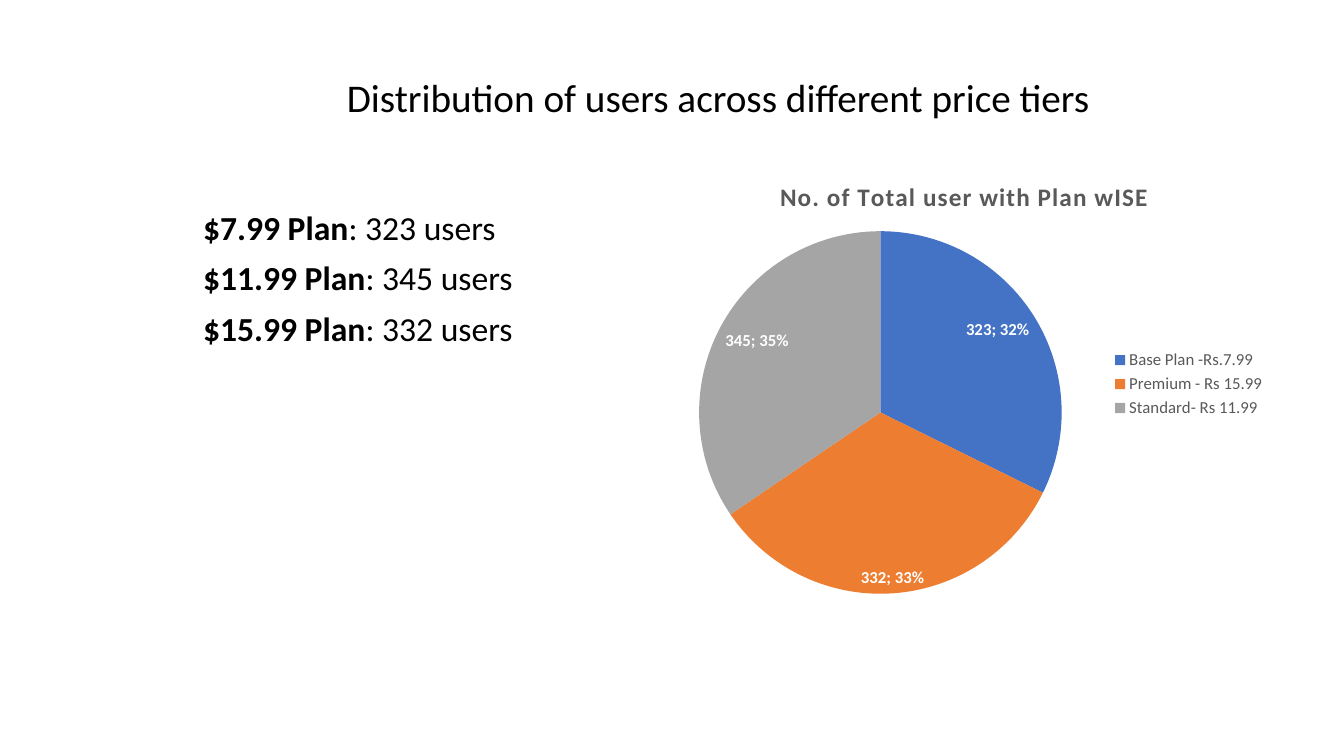
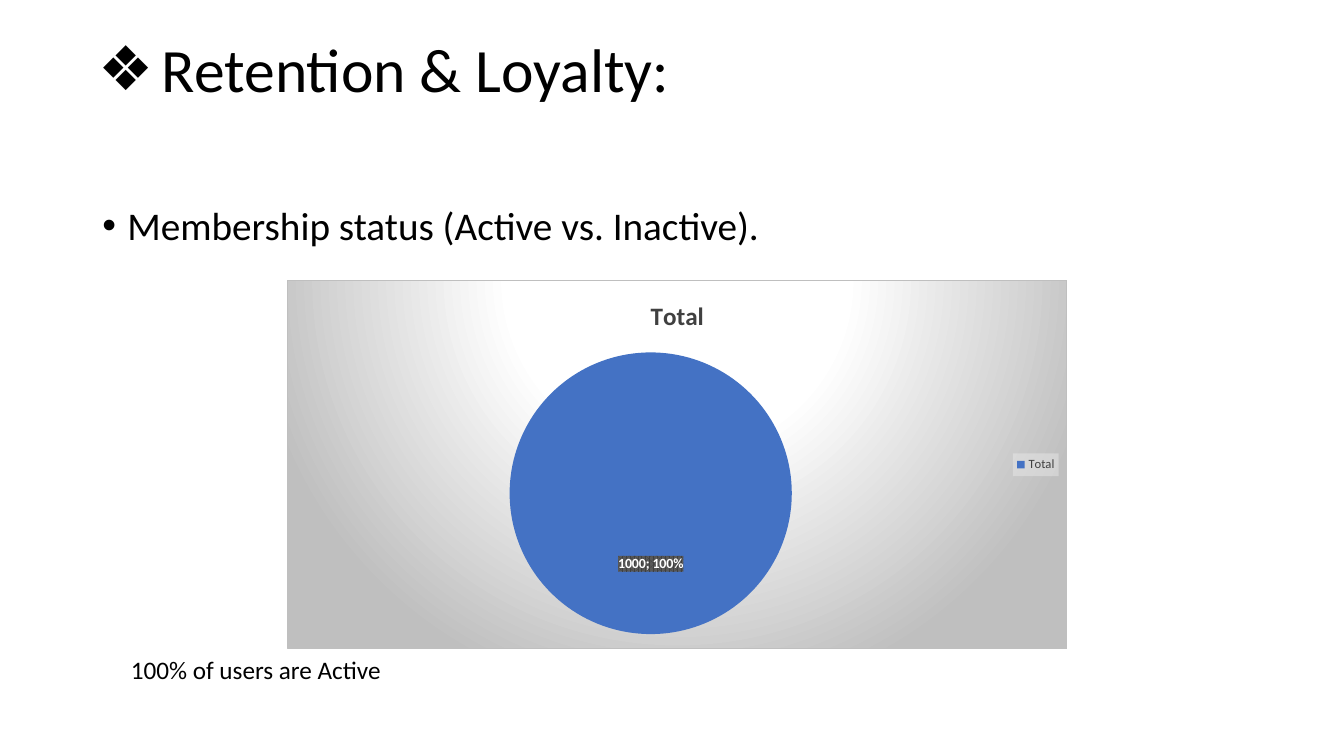
import lxml.etree
import pptx
import pptx.chart.data
import pptx.dml.color
import pptx.enum.chart
import pptx.enum.text
import pptx.oxml.ns
import pptx.util

Pt = pptx.util.Pt
RGB = pptx.dml.color.RGBColor
qn = pptx.oxml.ns.qn
ALIGN = pptx.enum.text.PP_ALIGN
ANCHOR = pptx.enum.text.MSO_ANCHOR
KIND = pptx.enum.chart.XL_CHART_TYPE
PLACE = pptx.enum.chart.XL_LABEL_POSITION
SIDE = pptx.enum.chart.XL_LEGEND_POSITION

# Shared look
FACE = "Calibri"
BLACK = RGB(0x00, 0x00, 0x00)
WHITE = RGB(0xFF, 0xFF, 0xFF)
DARK = RGB(0x40, 0x40, 0x40)
GREY = RGB(0x59, 0x59, 0x59)
PIES = [RGB(0x44, 0x72, 0xC4), RGB(0xED, 0x7D, 0x31), RGB(0xA5, 0xA5, 0xA5)]
BODY = {"line_spacing": 0.9, "space_before": Pt(10)}
NS = ('xmlns:c="http://schemas.openxmlformats.org/drawingml/2006/chart" '
      'xmlns:a="http://schemas.openxmlformats.org/drawingml/2006/main"')

# Panel, legend and label fills of the loyalty chart
PANEL = f"""<c:spPr {NS}><a:gradFill><a:gsLst>
<a:gs pos="0"><a:srgbClr val="FFFFFF"/></a:gs>
<a:gs pos="39000"><a:srgbClr val="FFFFFF"/></a:gs>
<a:gs pos="100000"><a:srgbClr val="BFBFBF"/></a:gs></a:gsLst>
<a:path path="circle"><a:fillToRect l="50000" t="-80000" r="50000" b="180000"/></a:path>
</a:gradFill><a:ln w="9525"><a:solidFill><a:srgbClr val="BFBFBF"/></a:solidFill></a:ln></c:spPr>"""
CLEAR = f"<c:spPr {NS}><a:noFill/><a:ln><a:noFill/></a:ln></c:spPr>"
KEY = f"""<c:spPr {NS}><a:solidFill><a:srgbClr val="F2F2F2"><a:alpha val="39000"/>
</a:srgbClr></a:solidFill></c:spPr>"""
TAG = f"""<c:spPr {NS}><a:pattFill prst="pct75"><a:fgClr><a:srgbClr val="404040"/></a:fgClr>
<a:bgClr><a:srgbClr val="595959"/></a:bgClr></a:pattFill></c:spPr>"""


def add_text(slide, box, paras, size, fmt={}, mark=None, left=0, hang=0, anchor=ANCHOR.TOP):
    """Each paragraph is a list of (text, bold) runs."""
    frame = slide.shapes.add_textbox(*map(Pt, box)).text_frame
    frame.word_wrap = True
    frame.vertical_anchor = anchor
    for i, runs in enumerate(paras):
        para = frame.paragraphs[0] if i == 0 else frame.add_paragraph()
        for name, value in fmt.items():
            setattr(para, name, value)
        props = para._p.get_or_add_pPr()
        props.set("marL", str(Pt(left)))
        props.set("indent", str(Pt(-hang)))
        if mark:
            lxml.etree.SubElement(props, qn("a:buFont")).set("typeface", "Arial")
            lxml.etree.SubElement(props, qn("a:buChar")).set("char", mark)
        for words, bold in runs:
            run = para.add_run()
            run.text = words
            for name, value in {"name": FACE, "size": Pt(size), "bold": bold}.items():
                setattr(run.font, name, value)
            run.font.color.rgb = BLACK


def add_pie(slide, box, pie, title, series, cats, vals, look):
    """The pie is placed by left, top and diameter inside the box."""
    data = pptx.chart.data.CategoryChartData()
    data.categories = cats
    data.add_series(series, vals)
    chart = slide.shapes.add_chart(KIND.PIE, *map(Pt, box), data).chart
    chart.font.name = FACE
    chart.font.size = Pt(10)

    # Title, legend and labels
    chart.has_title = True
    head = chart.chart_title.text_frame.paragraphs[0].add_run()
    head.text = title
    head._r.get_or_add_rPr().set("spc", str(look["gap"]))
    chart.has_legend = True
    key = chart.legend
    key.position = SIDE.RIGHT
    key.include_in_layout = False
    plot = chart.plots[0]
    plot.vary_by_categories = True
    plot.has_data_labels = True
    labels = plot.data_labels
    for name, value in {"show_value": True, "show_percentage": True,
                        "position": look["place"]}.items():
        setattr(labels, name, value)
    for font, size, bold, color in [(head.font, 18, True, look["ink"]),
                                    (key.font, look["key"], False, look["ink"]),
                                    (labels.font, look["tag"], True, WHITE)]:
        for name, value in {"name": FACE, "size": Pt(size), "bold": bold}.items():
            setattr(font, name, value)
        font.color.rgb = color
    mark = labels._element.find(qn("c:showLegendKey"))
    while mark.getnext() is not None and mark.getnext().tag != qn("c:showLeaderLines"):
        mark = mark.getnext()
    rule = lxml.etree.Element(qn("c:separator"))
    rule.text = "; "
    mark.addnext(rule)

    # Slices
    for i in range(len(vals)):
        fill = plot.series[0].points[i].format.fill
        fill.solid()
        fill.fore_color.rgb = PIES[i]

    # Pie place
    area = chart._chartSpace.chart.plotArea
    for old in area.findall(qn("c:layout")):
        area.remove(old)
    layout = lxml.etree.Element(qn("c:layout"))
    spot = lxml.etree.SubElement(layout, qn("c:manualLayout"))
    left, top, size = pie
    for tag, value in [("layoutTarget", "inner"), ("xMode", "edge"), ("yMode", "edge"),
                       ("x", left / box[2]), ("y", top / box[3]),
                       ("w", size / box[2]), ("h", size / box[3])]:
        lxml.etree.SubElement(spot, qn("c:" + tag)).set("val", str(value))
    area.insert(0, layout)

    # Fills
    chart._chartSpace.chart.addnext(lxml.etree.fromstring(look["panel"]))
    for part, fill in [(key, look["box"]), (labels, look["back"])]:
        part._element.find(qn("c:txPr")).addprevious(lxml.etree.fromstring(fill))


deck = pptx.Presentation()
deck.slide_width = Pt(960)
deck.slide_height = Pt(540)
blank = deck.slide_layouts[6]

# Slide 1: price tiers
slide = deck.slides.add_slide(blank)
tiers = [("$7.99", 323), ("$11.99", 345), ("$15.99", 332)]
add_text(slide, (66, 147.6, 431, 226),
         [[(f"{price} Plan", True), (f": {count} users", False)] for price, count in tiers],
         24, BODY, left=72)
add_pie(slide, (465.8, 114.5, 445.7, 319.7), (33.6, 50.7, 259),
        "No. of Total user with Plan wISE", "Series 1",
        ["Base Plan -Rs.7.99", "Premium - Rs 15.99", "Standard- Rs 11.99"], [323, 332, 345],
        {"gap": 80, "place": PLACE.INSIDE_END, "ink": GREY, "key": 12, "tag": 12,
         "panel": CLEAR, "box": CLEAR, "back": CLEAR})
add_text(slide, (66, 49, 894, 41),
         [[("Distribution of users across different price tiers", False)]],
         28, {"alignment": ALIGN.CENTER})

# Slide 2: retention and loyalty
slide = deck.slides.add_slide(blank)
add_text(slide, (63.4, 15, 828, 73.5), [[("Retention & Loyalty:", False)]],
         44, {"line_spacing": 0.9}, "❖", 45, 45, ANCHOR.MIDDLE)
add_text(slide, (66, 144, 828, 343), [[("Membership status (Active vs. Inactive).", False)]],
         28, BODY, "•", 18, 18)
add_pie(slide, (205.2, 200.2, 557.3, 263.5), (158.7, 51.3, 201.8),
        "Total", "Total", ["Total"], [1000],
        {"gap": 0, "place": PLACE.CENTER, "ink": DARK, "key": 9, "tag": 10,
         "panel": PANEL, "box": KEY, "back": TAG})
add_text(slide, (86.4, 463.7, 480, 29), [[("100% of users are Active", False)]], 18)

deck.save("out.pptx")
